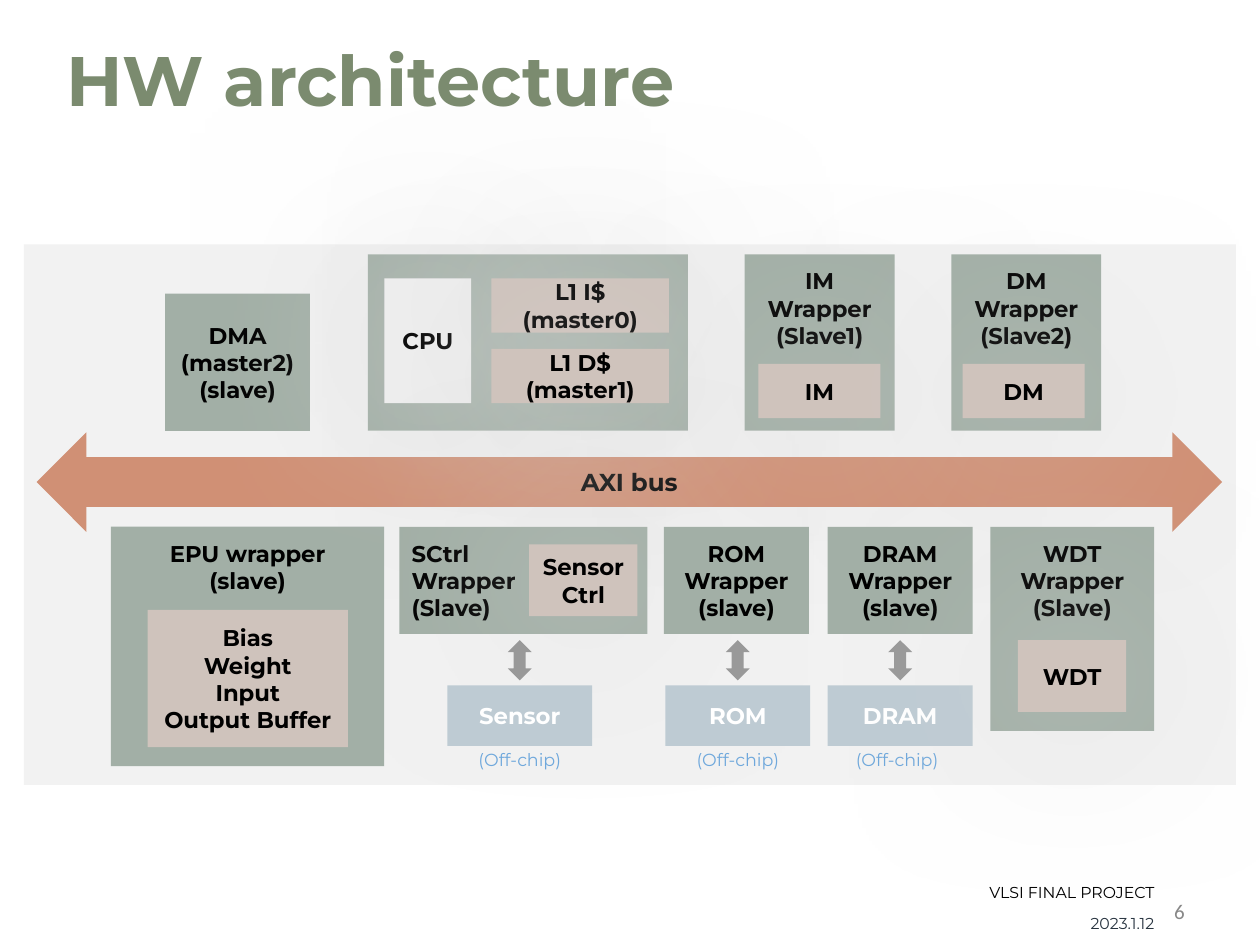
import pptx
import pptx.util
import pptx.dml.color
import pptx.enum.shapes
import pptx.enum.text
import pptx.oxml
import pptx.oxml.ns

Pt = pptx.util.Pt
SHAPE = pptx.enum.shapes.MSO_SHAPE
ALIGN = pptx.enum.text.PP_ALIGN
ANCHOR = pptx.enum.text.MSO_ANCHOR

COLORS = {
    "title": "7B8B6F", "panel": "F2F2F2", "wrapper": "A2AFA6", "core": "CFC3BC",
    "cpu": "EFEFEF", "bus": "D09075", "chip": "BECBD3", "arrow": "999999",
    "note": "6FA8DC", "date": "283440", "number": "888888", "glow": "D8D8D8",
    "black": "000000", "white": "FFFFFF",
}
ROW_TOP = 301
CHIP_W = 82.8


def rgb(color):
    return pptx.dml.color.RGBColor.from_string(COLORS[color])


def write(frame, text, size=13, color="black", bold=True, align=ALIGN.CENTER,
          anchor=ANCHOR.MIDDLE, font="Montserrat", inset=(7.2, 7.2), wrap=True,
          spacing=None):
    """Fill a text frame, one paragraph for each line of text."""
    frame.word_wrap = wrap
    frame.vertical_anchor = anchor
    frame.margin_left = frame.margin_right = Pt(inset[0])
    frame.margin_top = frame.margin_bottom = Pt(inset[1])
    for index, line in enumerate(text.split("\n")):
        paragraph = frame.add_paragraph() if index else frame.paragraphs[0]
        paragraph.alignment = align
        if spacing:
            paragraph.line_spacing = spacing
        run = paragraph.add_run()
        run.text = line
        run.font.name = font
        run.font.size = Pt(size)
        run.font.bold = bold
        run.font.color.rgb = rgb(color)


def label(slide, box, text, **style):
    write(slide.shapes.add_textbox(*map(Pt, box)).text_frame, text, **style)


def block(slide, box, fill, text=None, kind=SHAPE.RECTANGLE, **style):
    shape = slide.shapes.add_shape(kind, *map(Pt, box))
    shape.shadow.inherit = False
    shape.fill.solid()
    shape.fill.fore_color.rgb = rgb(fill)
    shape.line.fill.background()
    if text:
        write(shape.text_frame, text, **style)
    return shape


def glowing_block(slide, box, fill, text):
    """Block with a wide soft shadow."""
    properties = block(slide, box, fill, text)._element.spPr
    effects = properties.find(pptx.oxml.ns.qn("a:effectLst"))
    effects.append(pptx.oxml.parse_xml(
        f'<a:outerShdw {pptx.oxml.ns.nsdecls("a")} blurRad="{Pt(112.5)}" '
        f'dist="{Pt(1.5)}" dir="{81 * 60000}" algn="tl" rotWithShape="0">'
        f'<a:srgbClr val="{COLORS["glow"]}"/></a:outerShdw>'))


def wrapper(slide, box, text, core_box, core_text, align=ALIGN.CENTER, glow=True):
    """Wrapper with its core; core_box is relative to the wrapper."""
    left, top = box[:2]
    dx, dy, width, height = core_box
    block(slide, box, "wrapper", text, anchor=ANCHOR.TOP, align=align)
    draw = glowing_block if glow else block
    draw(slide, (left + dx, top + dy, width, height), "core", core_text)


def cpu_cluster(slide, box):
    left, top = box[:2]
    block(slide, box, "wrapper")
    glowing_block(slide, (left + 9.4, top + 13.7, 49.7, 71.3), "cpu", "CPU")
    for index, cache in enumerate(("L1 I$\n(master0)", "L1 D$\n(master1)")):
        glowing_block(slide, (left + 70.6, top + 13.7 + 40.3 * index, 101.5, 31),
                      "core", cache)


def off_chip(slide, box, name, note_shift=0):
    """Arrow, chip and note stacked in the box."""
    left, top, width, height = box
    block(slide, (left + (width - 13.7) / 2, top, 13.7, 23), "arrow",
          kind=SHAPE.UP_DOWN_ARROW)
    block(slide, (left, top + 25.9, width, 34.6), "chip", name, color="white")
    label(slide, (left + note_shift, top + 56.2, width, height - 56.2), "(Off-chip)",
          size=10, color="note", bold=False, anchor=ANCHOR.TOP, wrap=False)


def masters_and_memories(slide, box):
    left, top, _, height = box
    cpu_cluster(slide, (left + 196.5, top, 182.9, height))
    for memory, slave, x, inner in (("IM", 1, 411.8, 7.9), ("DM", 2, 529.9, 6.5)):
        wrapper(slide, (left + x, top, 85.7, height),
                f"{memory}\nWrapper\n(Slave{slave})", (inner, 62.6, 69.8, 31), memory)


def slaves(slide, box):
    left, top = box[:2]
    wrapper(slide, (left + 164.8, top, 141.8, 61.2), "SCtrl\nWrapper\n(Slave)",
            (74.2, 10.1, 61.9, 41), "Sensor\nCtrl", align=ALIGN.LEFT)
    for memory, x in (("ROM", 316), ("DRAM", 409.6)):
        block(slide, (left + x, top, CHIP_W, 61.2), "wrapper",
              f"{memory}\nWrapper\n(slave)")
    for chip, x, shift in (("Sensor", 192.2, 0), ("ROM", 316.8, 0),
                           ("DRAM", 409.6, -1.8)):
        off_chip(slide, (left + x, top + 64.8, CHIP_W, 82.8), chip, shift)
    wrapper(slide, (left + 502.5, top, 93.6, 116.6), "WDT\nWrapper\n(Slave)",
            (15.8, 64.8, 61.9, 41), "WDT")


def architecture(slide, box):
    left, top = box[:2]
    block(slide, box, "panel")
    block(slide, (left + 80.6, top + 28.1, CHIP_W, 78.5), "wrapper",
          "DMA\n(master2)\n(slave)")
    wrapper(slide, (left + 49.7, ROW_TOP, 156.2, 136.8), "EPU wrapper\n(slave)",
            (20.9, 47.5, 114.5, 78.5), "Bias\nWeight\nInput\nOutput Buffer", glow=False)
    block(slide, (left + 7.2, top + 107.3, 677.5, 56.9), "bus", "AXI bus",
          kind=SHAPE.LEFT_RIGHT_ARROW, size=14)
    masters_and_memories(slide, (left, top + 5.7, 692.6, 100.8))
    slaves(slide, (left + 49.7, ROW_TOP, 596.1, 147.6))


def footer(slide, box):
    left, top = box[:2]
    style = dict(bold=False, align=ALIGN.RIGHT)
    label(slide, (left, top, 114.5, 16.6), "VLSI FINAL PROJECT", size=9,
          anchor=ANCHOR.TOP, inset=(5, 2.9), **style)
    label(slide, (left + 33.9, top + 7.9, 80.6, 27.4), "2023.1.12", size=9,
          color="date", inset=(5, 2.9), spacing=1.78, **style)
    label(slide, (left - 33.8, top + 10.1, 167.8, 17.3), "6", size=12, color="number",
          font="Calibri", inset=(7.2, 3.6), **style)


def main():
    deck = pptx.Presentation()
    deck.slide_width, deck.slide_height = Pt(720), Pt(540)
    slide = deck.slides.add_slide(deck.slide_layouts[6])
    label(slide, (31, 17.3, 369.4, 55.4), "HW architecture", size=40, color="title",
          align=ALIGN.LEFT, anchor=ANCHOR.TOP, inset=(7.2, 3.6))
    architecture(slide, (13.7, 139.7, 692.6, 308.9))
    footer(slide, (550.1, 501.8, 134, 35.3))
    deck.save("out.pptx")


if __name__ == "__main__":
    main()
